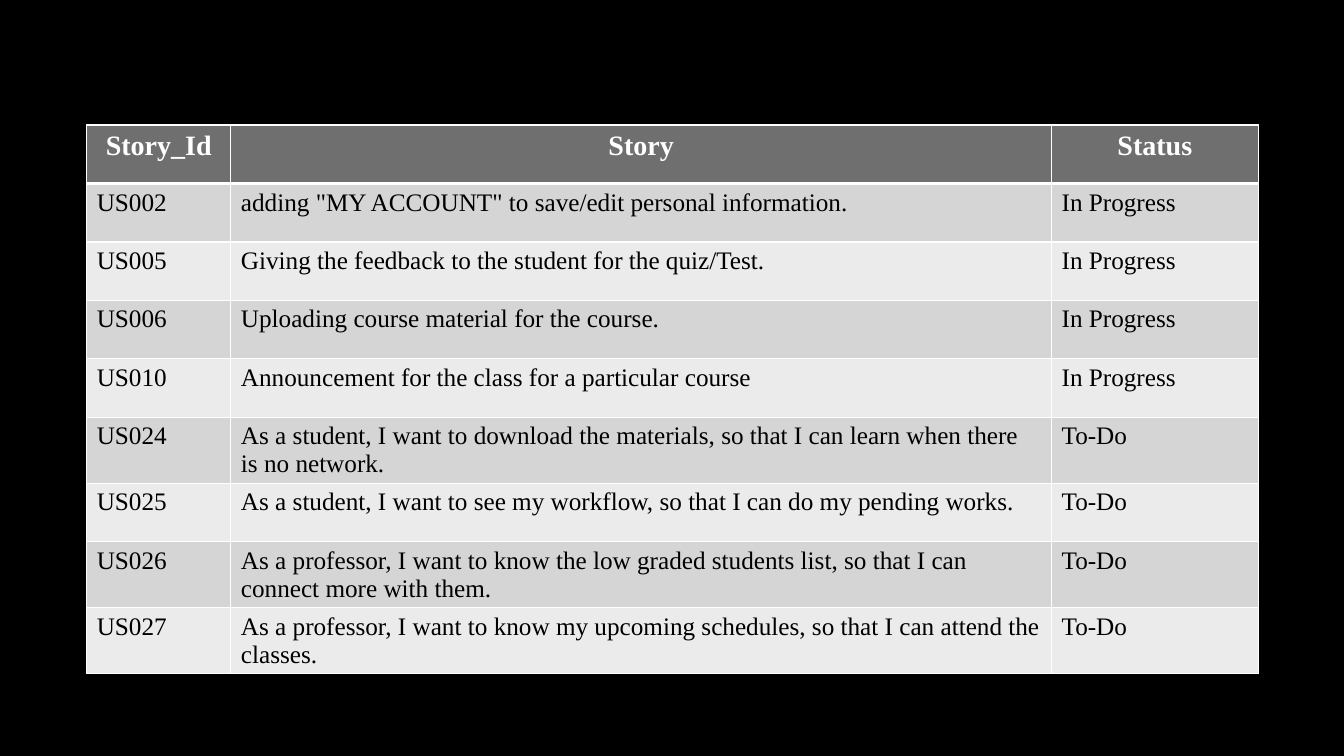
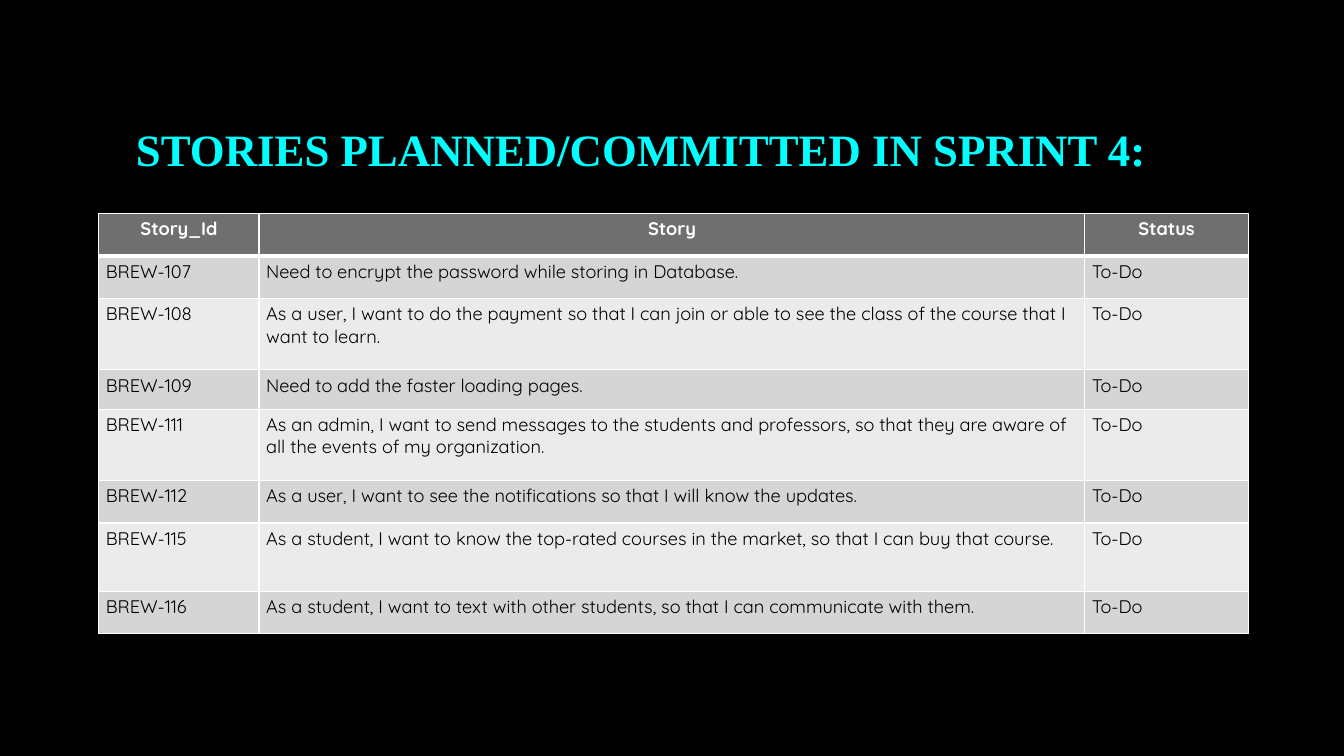
import pptx
import pptx.util
import pptx.dml.color
import pptx.enum.text
import pptx.oxml
import pptx.oxml.ns

Inches = pptx.util.Inches
Pt = pptx.util.Pt

COLORS = {
    "background": "000000",
    "title": "00FFFF",
    "header": "6F6F6F",
    "header_text": "FFFFFF",
    "body_text": "000000",
    "dark_band": "D5D5D5",
    "light_band": "EBEBEB",
    "border": "FFFFFF",
}
HEADINGS = ("Story_Id", "Story", "Status")
SERIF = "Times New Roman"


def write(frame, text, color, font_format):
    """Put one formatted line of text in a frame and return its paragraph."""
    line = frame.paragraphs[0]
    run = line.add_run()
    run.text = text
    for name, value in font_format.items():
        setattr(run.font, name, value)
    run.font.color.rgb = pptx.dml.color.RGBColor.from_string(COLORS[color])
    return line


def add_border(cell, side, points):
    """Append one cell edge; edges go in before the fill."""
    cell._tc.get_or_add_tcPr().append(pptx.oxml.parse_xml(
        f'<a:ln{side} {pptx.oxml.ns.nsdecls("a")} w="{Pt(points)}">'
        f'<a:solidFill><a:srgbClr val="{COLORS["border"]}"/></a:solidFill>'
        f'</a:ln{side}>'))


# Content of the story boards, one per slide
boards = [
    {
        "title": None,
        "left": 0.86, "top": 1.24,
        "columns": (1.43, 8.14, 2.05),
        "rows": [0.58] * 9,
        "font": SERIF, "header_size": 20, "body_size": 18,
        "margins": (0.1, 0.05),
        "stories": [
            ("US002", 'adding "MY ACCOUNT" to save/edit personal information.', "In Progress"),
            ("US005", "Giving the feedback to the student for the quiz/Test.", "In Progress"),
            ("US006", "Uploading course material for the course.", "In Progress"),
            ("US010", "Announcement for the class for a particular course", "In Progress"),
            ("US024", "As a student, I want to download the materials, so that I can "
                      "learn when there is no network.", "To-Do"),
            ("US025", "As a student, I want to see my workflow, so that I can do my "
                      "pending works.", "To-Do"),
            ("US026", "As a professor, I want to know the low graded students list, so "
                      "that I can connect more with them.", "To-Do"),
            ("US027", "As a professor, I want to know my upcoming schedules, so that I "
                      "can attend the classes.", "To-Do"),
        ],
    },
    {
        "title": "STORIES PLANNED/COMMITTED IN SPRINT 4:",
        "left": 0.98, "top": 2.12,
        "columns": (1.59, 8.19, 1.62),
        "rows": [0.42, 0.42, 0.71, 0.39, 0.71, 0.42, 0.68, 0.42],
        "font": "Quicksand", "header_size": 13, "body_size": 13,
        "margins": (0.07, 0.04),
        "stories": [
            ("BREW-107", "Need to encrypt the password while storing in Database.", "To-Do"),
            ("BREW-108", "As a user, I want to do the payment so that I can join or able "
                         "to see the class of the course that I want to learn.", "To-Do"),
            ("BREW-109", "Need to add the faster loading pages.", "To-Do"),
            ("BREW-111", "As an admin, I want to send messages to the students and "
                         "professors, so that they are aware of all the events of my "
                         "organization.", "To-Do"),
            ("BREW-112", "As a user, I want to see the notifications so that I will know "
                         "the updates.", "To-Do"),
            ("BREW-115", "As a student, I want to know the top-rated courses in the "
                         "market, so that I can buy that course.", "To-Do"),
            ("BREW-116", "As a student, I want to text with other students, so that I "
                         "can communicate with them.", "To-Do"),
        ],
    },
]

deck = pptx.Presentation()
deck.slide_width = Inches(13.33)
deck.slide_height = Inches(7.5)

for board in boards:
    # Black slide
    slide = deck.slides.add_slide(deck.slide_layouts[6])
    slide.background.fill.solid()
    slide.background.fill.fore_color.rgb = pptx.dml.color.RGBColor.from_string(
        COLORS["background"])

    # Title
    if board["title"]:
        heading = slide.shapes.add_textbox(
            Inches(1.25), Inches(0.67), Inches(10.83), Inches(1.61)).text_frame
        heading.word_wrap = True
        heading.vertical_anchor = pptx.enum.text.MSO_ANCHOR.MIDDLE
        write(heading, board["title"], "title",
              {"name": SERIF, "size": Pt(32), "bold": True})

    # Story table
    lines = [HEADINGS] + board["stories"]
    story_table = slide.shapes.add_table(
        len(lines), len(HEADINGS), Inches(board["left"]), Inches(board["top"]),
        Inches(sum(board["columns"])), Inches(sum(board["rows"]))).table
    for column, width in zip(story_table.columns, board["columns"]):
        column.width = Inches(width)
    for row, height in zip(story_table.rows, board["rows"]):
        row.height = Inches(height)

    side_margin, end_margin = (Inches(margin) for margin in board["margins"])
    cell_format = {"margin_left": side_margin, "margin_right": side_margin,
                   "margin_top": end_margin, "margin_bottom": end_margin}

    for row_number, line in enumerate(lines):
        is_header = row_number == 0
        band = "header" if is_header else "dark_band" if row_number % 2 else "light_band"
        edges = {"L": 1, "R": 1, "T": 3 if row_number == 1 else 1,
                 "B": 3 if is_header else 1}
        font_format = {
            "name": board["font"],
            "size": Pt(board["header_size" if is_header else "body_size"]),
            "bold": is_header,
        }
        for column_number, text in enumerate(line):
            cell = story_table.cell(row_number, column_number)
            for name, value in cell_format.items():
                setattr(cell, name, value)
            for side, points in edges.items():
                add_border(cell, side, points)
            cell.fill.solid()
            cell.fill.fore_color.rgb = pptx.dml.color.RGBColor.from_string(COLORS[band])
            entry = write(cell.text_frame, text,
                          "header_text" if is_header else "body_text", font_format)
            if is_header:
                entry.alignment = pptx.enum.text.PP_ALIGN.CENTER

deck.save("out.pptx")
